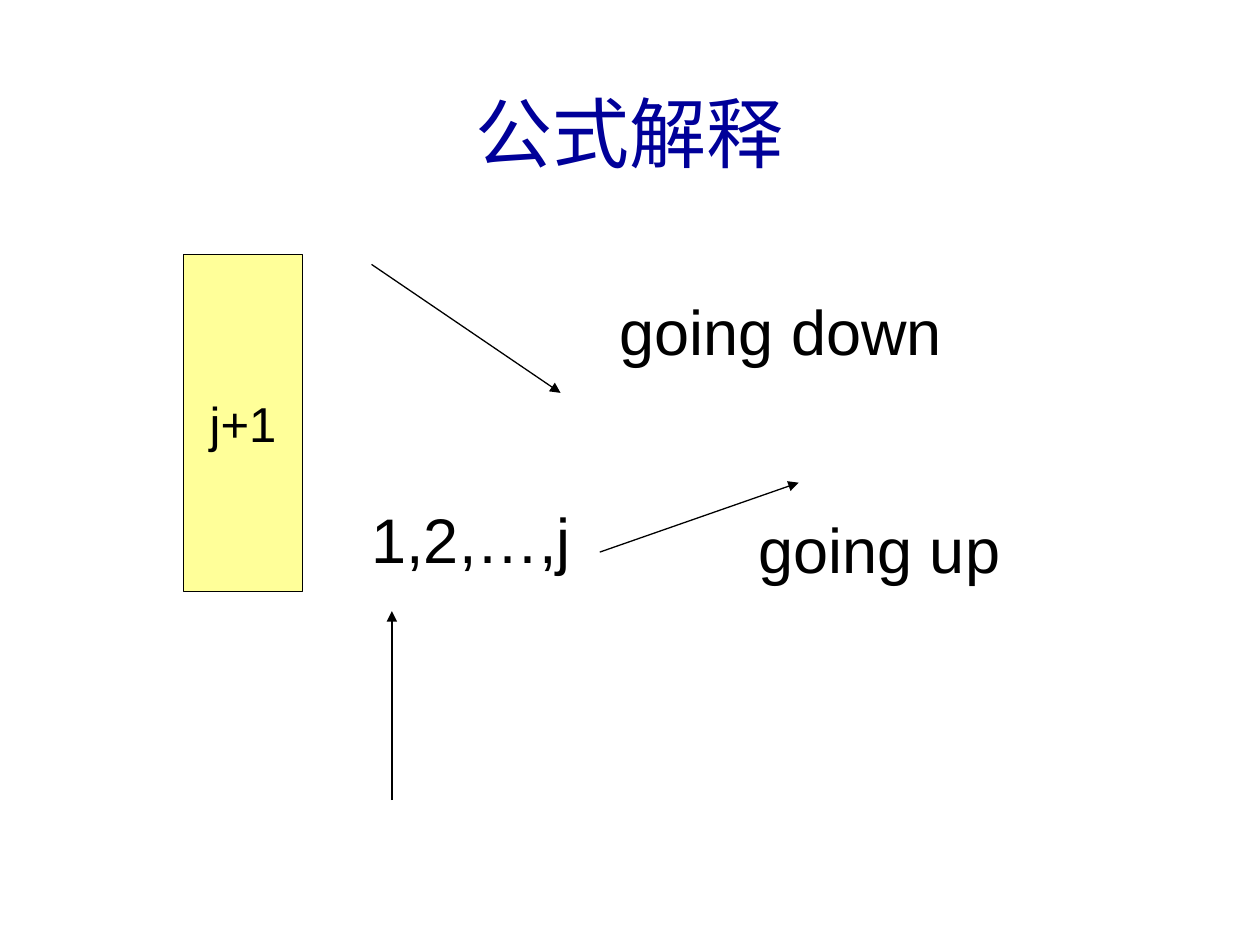
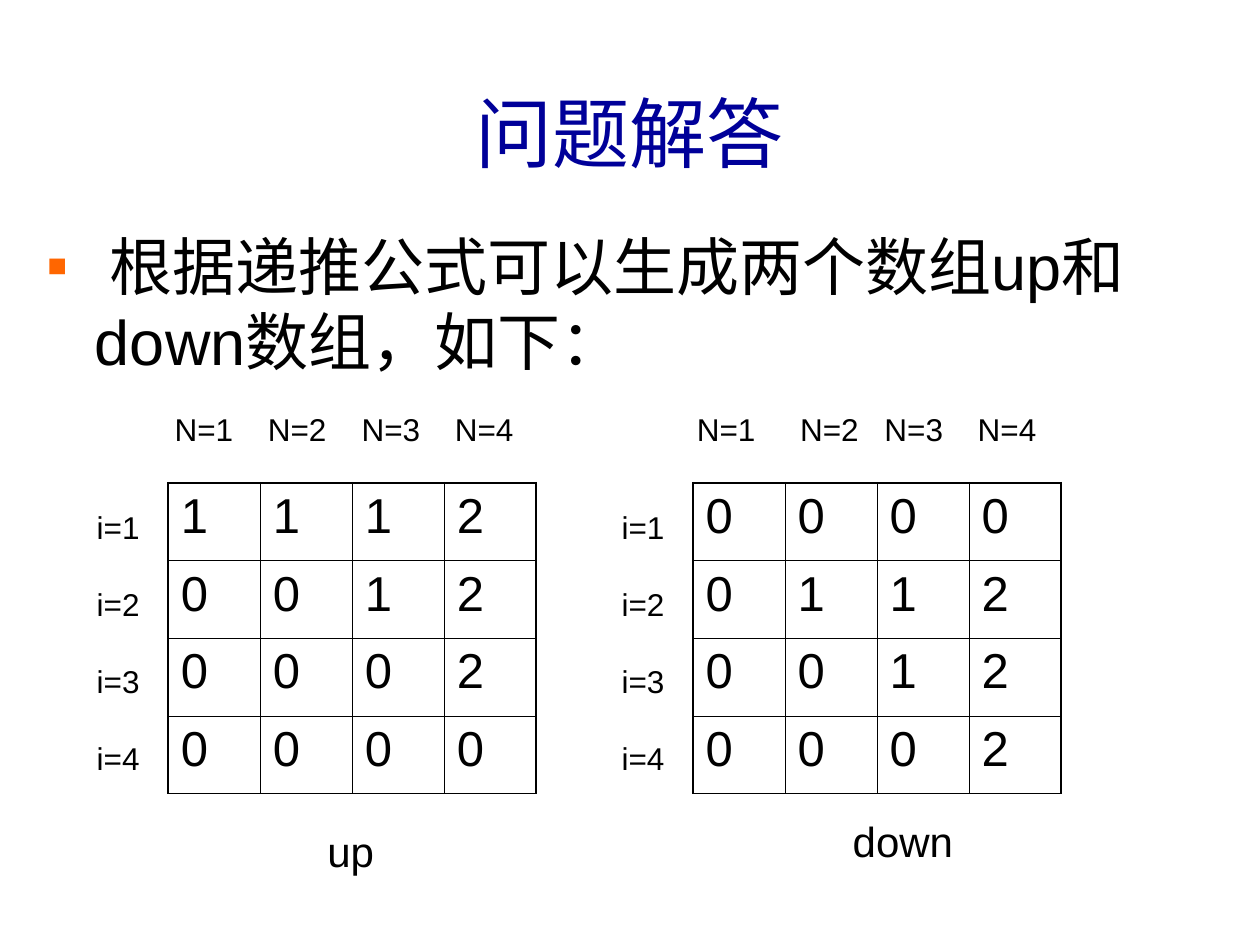
from lxml import etree
from pptx import Presentation
from pptx.dml.color import RGBColor
from pptx.enum.shapes import MSO_CONNECTOR, MSO_SHAPE
from pptx.enum.text import MSO_ANCHOR, MSO_AUTO_SIZE, PP_ALIGN
from pptx.oxml.ns import qn
from pptx.util import Cm, Pt

STRAIGHT = MSO_CONNECTOR.STRAIGHT
RECTANGLE = MSO_SHAPE.RECTANGLE
MIDDLE = MSO_ANCHOR.MIDDLE
NO_AUTOFIT = MSO_AUTO_SIZE.NONE
LEFT, CENTER = PP_ALIGN.LEFT, PP_ALIGN.CENTER

FONT = "Arial"
COLORS = {"title": "000099", "ink": "000000", "box": "FFFF99", "bullet": "FF6600"}
TITLE_AREA = [Cm(v) for v in (0.84, 1.07, 23.72, 3.18)]


def write(frame, text, size=36, color="ink", align=LEFT, gap=0, wrap=False):
    """Fill a text frame, one paragraph per line, with gap points between them."""
    frame.word_wrap = wrap
    frame.auto_size = NO_AUTOFIT
    for number, line in enumerate(text.split("\n")):
        paragraph = frame.add_paragraph() if number else frame.paragraphs[0]
        paragraph.alignment = align
        paragraph.space_before = Pt(gap if number else 0)
        run = paragraph.add_run()
        run.text = line
        run.font.name = FONT
        run.font.size = Pt(size)
        run.font.color.rgb = RGBColor.from_string(COLORS[color])


def add_label(slide, text, left, top, width, height, **style):
    label = slide.shapes.add_textbox(Cm(left), Cm(top), Cm(width), Cm(height))
    write(label.text_frame, text, **style)
    return label.text_frame


prs = Presentation()
prs.slide_width, prs.slide_height = Cm(25.4), Cm(19.05)
formula = prs.slides.add_slide(prs.slide_layouts[5])
answer = prs.slides.add_slide(prs.slide_layouts[1])

for slide, heading in ((formula, "公式解释"), (answer, "问题解答")):
    title = slide.shapes.title
    title.left, title.top, title.width, title.height = TITLE_AREA
    title.text_frame.vertical_anchor = MIDDLE
    write(title.text_frame, heading, size=44, color="title", align=CENTER, wrap=True)

# Slide 1: the terms of the formula
next_term = formula.shapes.add_shape(RECTANGLE, Cm(3.7), Cm(5.13), Cm(2.4), Cm(6.8))
next_term.shadow.inherit = False
next_term.fill.solid()
next_term.fill.fore_color.rgb = RGBColor.from_string(COLORS["box"])
next_term.line.color.rgb = RGBColor.from_string(COLORS["ink"])
next_term.line.width = Pt(0.75)
next_term.text_frame.vertical_anchor = MIDDLE
write(next_term.text_frame, "j+1", size=28, align=CENTER)

for text, left, top, width in (
    ("1,2,…,j", 7.24, 9.96, 4.52),
    ("going down", 12.24, 5.77, 7.01),
    ("going up", 15.04, 10.16, 5.38),
):
    add_label(formula, text, left, top, width, 1.78)

for start_and_tip in (
    (7.9, 16.13, 7.9, 12.32),
    (7.49, 5.33, 11.3, 7.92),
    (12.09, 11.13, 16.1, 9.73),
):
    arrow = formula.shapes.add_connector(STRAIGHT, *[Cm(v) for v in start_and_tip])
    arrow.line.color.rgb = RGBColor.from_string(COLORS["ink"])
    arrow.line.width = Pt(0.75)
    etree.SubElement(arrow.line._get_or_add_ln(), qn("a:tailEnd"), type="triangle")
    etree.SubElement(arrow._element.spPr, qn("a:effectLst"))

# Slide 2: the two arrays
intro = answer.placeholders[1]
intro.left, intro.top, intro.width, intro.height = Cm(0.69), Cm(4.45), Cm(23.44), Cm(12.5)
write(intro.text_frame, " 根据递推公式可以生成两个数组up和down数组，如下：", wrap=True)
intro.text_frame.paragraphs[0].space_before = Pt(9)
bullet_props = intro.text_frame.paragraphs[0]._p.get_or_add_pPr()
bullet_props.set("marL", str(Cm(0.97)))
bullet_props.set("indent", str(-Cm(0.97)))
bullet_color = etree.SubElement(bullet_props, qn("a:buClr"))
etree.SubElement(bullet_color, qn("a:srgbClr"), val=COLORS["bullet"])
etree.SubElement(bullet_props, qn("a:buFont"), typeface=FONT)
etree.SubElement(bullet_props, qn("a:buChar"), char="▪")

ARRAYS = (
    ("up", ("1112", "0012", "0002", "0000"), 3.39, (6.35, 16.51, 1.45)),
    ("down", ("0000", "0112", "0012", "0002"), 13.97, (16.94, 16.31, 2.51)),
)
ROW_LABELS = "\n".join(f"i={i}" for i in range(1, 5))
COLUMN_LABELS = [f"N={n}" for n in range(1, 5)]
OUTER, INNER = Pt(1.08), Pt(0.45)

for name, rows, left, caption_area in ARRAYS:
    table = answer.shapes.add_table(
        4, 4, Cm(left), Cm(9.73), Cm(7.42), Cm(6.27)
    ).table
    table.first_row = table.horz_banding = False
    for r, values in enumerate(rows):
        for c, value in enumerate(values):
            cell = table.cell(r, c)
            write(cell.text_frame, value, size=28, wrap=True)
            cell_props = cell._tc.get_or_add_tcPr()
            at_edge = {"lnL": c == 0, "lnR": c == 3, "lnT": r == 0, "lnB": r == 3}
            for side, is_outer in at_edge.items():
                border = etree.SubElement(
                    cell_props, qn(f"a:{side}"), w=str(OUTER if is_outer else INNER)
                )
                border_fill = etree.SubElement(border, qn("a:solidFill"))
                etree.SubElement(border_fill, qn("a:srgbClr"), val=COLORS["ink"])
            cell.fill.background()
    add_label(answer, name, *caption_area, 1.27, size=24)
    add_label(answer, ROW_LABELS, left - 1.69, 10.12, 1.37, 5.5, size=18, gap=22.4)

column_heads = add_label(
    answer, "\t".join(COLUMN_LABELS * 2), 3.27, 8.15, 18.24, 1.02, size=18, wrap=True
)
tab_list = etree.SubElement(
    column_heads.paragraphs[0]._p.get_or_add_pPr(), qn("a:tabLst")
)
for stop in (1.88, 3.77, 5.65, 10.53, 12.61, 14.31, 16.19):
    etree.SubElement(tab_list, qn("a:tab"), pos=str(Cm(stop)), algn="l")

prs.save("out.pptx")
